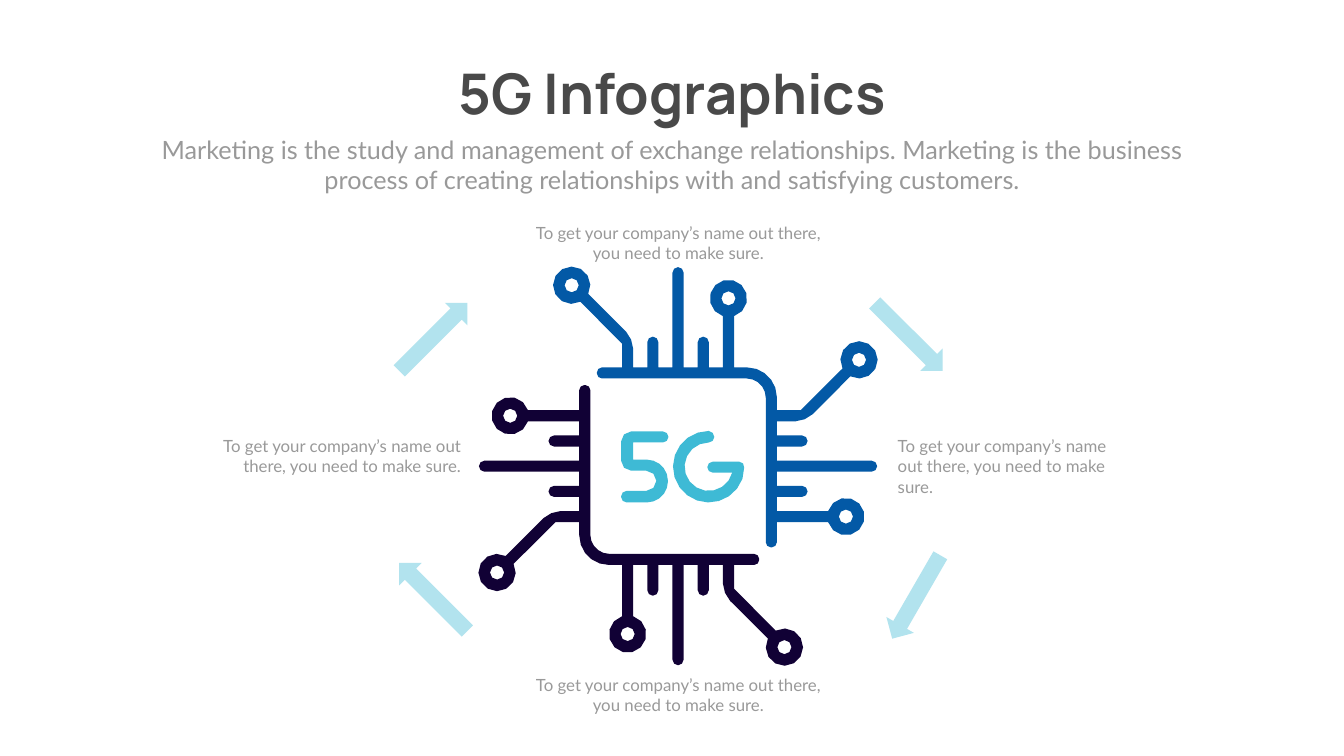
from dataclasses import dataclass
from math import asin, cos, degrees, radians, sin

from pptx import Presentation
from pptx.dml.color import RGBColor
from pptx.enum.shapes import MSO_SHAPE
from pptx.enum.text import MSO_AUTO_SIZE as Fit, PP_ALIGN as Align
from pptx.util import Pt

PX = 9144  # EMU per px, 100 px to the inch
SLIDE = (2666, 1500)


@dataclass(frozen=True)
class Theme:
    heading: str = "494949"
    muted: str = "999999"
    blue: str = "0359A6"
    navy: str = "110135"
    cyan: str = "3EBAD5"
    pale: str = "B2E3EE"
    title_font: str = "Manrope"
    body_font: str = "Lato"
    title_size: int = 80
    lead_size: int = 36
    note_size: int = 24


THEME = Theme()
TITLE_STYLE = (THEME.title_font, THEME.title_size, THEME.heading, True)
LEAD_STYLE = (THEME.body_font, THEME.lead_size, THEME.muted, False)
NOTE_STYLE = (THEME.body_font, THEME.note_size, THEME.muted, False)

TITLE = "5G Infographics"
LEAD = ("Marketing is the study and management of exchange relationships. "
        "Marketing is the business process of creating relationships with "
        "and satisfying customers.")
NOTE = "To get your company’s name out there, you need to make sure."
NOTE_BOXES = [
    ((412, 860, 512, 91), Align.RIGHT),
    ((1771, 860, 486, 91), Align.LEFT),
    ((1052, 437, 587, 91), Align.CENTER),
    ((1052, 1334, 587, 91), Align.CENTER),
]
ARROW_SIZE = (63, 191)
ARROWS = [(1771, 573, 135), (1786, 1089, 210), (828, 1089, 315), (828, 573, 45)]

CHIP_CENTER = (1345, 925)
CHIP_HALF = 196      # centre to outer edge of the frame
FRAME_INNER = 174
FRAME_END = 161      # where each half of the frame stops
PIN_HALF = 11
SHORT_PIN, LONG_PIN = 61, 199
NODE_RADIUS, HOLE_RADIUS = 37, 14
SLANTED_NODE, UPRIGHT_NODE = (-211, 163), (100, 137)


def arc(center, radius, start, end, steps):
    angles = [radians(start + (end - start) * i / steps) for i in range(steps + 1)]
    return [(center[0] + radius * cos(a), center[1] + radius * sin(a)) for a in angles]


def toward(corner, other, distance):
    length = max(((other[0] - corner[0]) ** 2 + (other[1] - corner[1]) ** 2) ** 0.5, 1)
    return tuple(c + (o - c) * distance / length for c, o in zip(corner, other))


def round_corners(outline):
    """Replace each (x, y, cut) corner by a curve starting cut px before it."""
    rounded = []
    for i, (x, y, *cut) in enumerate(outline):
        if not cut:
            rounded.append((x, y))
            continue
        corner = (x, y)
        start = toward(corner, outline[i - 1], cut[0])
        end = toward(corner, outline[(i + 1) % len(outline)], cut[0])
        steps = 2 if cut[0] <= 20 else 5
        for t in (step / steps for step in range(steps + 1)):
            u = 1 - t
            near_start = u ** 3 + 1.35 * u * u * t
            near_end = t ** 3 + 1.35 * u * t * t
            near_corner = 1 - near_start - near_end
            rounded.append(tuple(near_start * s + near_corner * c + near_end * e
                                 for s, c, e in zip(start, corner, end)))
    return rounded


def quarter_turn(outline):
    return [(-y, x, *cut) for x, y, *cut in outline]


def half_turn(outline):
    return quarter_turn(quarter_turn(outline))


def pin(middle, height):
    left, right = middle - PIN_HALF, middle + PIN_HALF
    return [(left, 0), (left, height, PIN_HALF), (right, height, PIN_HALF), (right, 0)]


def node_ring(center, stem_angle):
    gap = degrees(asin(PIN_HALF / NODE_RADIUS))
    return arc(center, NODE_RADIUS, stem_angle - gap, stem_angle + gap - 360, 11)


def top_side(points):
    """Turn (along, outward) points into points around the chip centre."""
    return [(along, -CHIP_HALF - out, *cut) for along, out, *cut in points]


def chip_half():
    """Outline and node holes of the top and right half, around the centre."""
    pins = top_side(
        [(-111, 0), (-111, 47), *node_ring(SLANTED_NODE, -45), (-89, 57, 20), (-89, 0)]
        + pin(-50, SHORT_PIN) + pin(0, LONG_PIN) + pin(50, SHORT_PIN)
        + [(89, 0), *node_ring(UPRIGHT_NODE, -90), (111, 0)])
    holes = [top_side(arc(node, HOLE_RADIUS, 0, 315, 7))
             for node in (SLANTED_NODE, UPRIGHT_NODE)]
    frame = [(-FRAME_END, -FRAME_INNER, 10), (-FRAME_END, -CHIP_HALF, 10), *pins,
             (CHIP_HALF, -CHIP_HALF, 59), *quarter_turn(pins),
             (CHIP_HALF, FRAME_END, 10), (FRAME_INNER, FRAME_END, 10),
             (FRAME_INNER, -FRAME_INNER, 38)]
    return [frame, *holes, *map(quarter_turn, holes)]


FIVE = [(1232, 997, 11), (1232, 974, 11), (1302, 974, 20), (1302, 934, 20),
        (1232, 934, 20), (1232, 856, 20), (1326, 856, 11), (1326, 878, 11),
        (1256, 878), (1256, 912), (1325, 912, 42), (1325, 997, 42)]
G_CENTER = (1406, 926)
LETTER_G = [*arc(G_CENTER, 71, -90, -340, 14), (1478, 916, 12), (1403, 916, 11),
            (1403, 938, 11), *arc(G_CENTER, 48, 14, 270, 12),
            (1417, 878, 11), (1417, 856, 11)]


def paint(shape, color):
    shape.shadow.inherit = False
    shape.fill.solid()
    shape.fill.fore_color.rgb = RGBColor.from_string(color)
    shape.line.fill.background()


def add_outline(shapes, outlines, color, origin=(0, 0)):
    builder = None
    for outline in outlines:
        points = [((x + origin[0]) * PX, (y + origin[1]) * PX)
                  for x, y in round_corners(outline)]
        if builder is None:
            builder = shapes.build_freeform(*points[0], scale=1.0)
        else:
            builder.move_to(*points[0])
        builder.add_line_segments(points[1:], close=True)
    paint(builder.convert_to_shape(), color)


def add_text(shapes, text, box, style, align=Align.CENTER, wrap=True):
    frame = shapes.add_textbox(*(n * PX for n in box)).text_frame
    frame.word_wrap = wrap
    frame.auto_size = Fit.SHAPE_TO_FIT_TEXT
    paragraph = frame.paragraphs[0]
    paragraph.alignment = align
    run = paragraph.add_run()
    run.text = text
    name, size, color, bold = style
    for key, value in {"name": name, "size": Pt(size), "bold": bold}.items():
        setattr(run.font, key, value)
    run.font.color.rgb = RGBColor.from_string(color)


def main():
    deck = Presentation()
    deck.slide_width, deck.slide_height = (n * PX for n in SLIDE)
    shapes = deck.slides.add_slide(deck.slide_layouts[6]).shapes

    add_text(shapes, TITLE, (864, 112, 939, 145), TITLE_STYLE, wrap=False)
    add_text(shapes, LEAD, (292, 261, 2082, 131), LEAD_STYLE)

    half = chip_half()
    add_outline(shapes, half, THEME.blue, CHIP_CENTER)
    add_outline(shapes, [half_turn(part) for part in half], THEME.navy, CHIP_CENTER)
    for glyph in (FIVE, LETTER_G):
        add_outline(shapes, [glyph], THEME.cyan)

    for box, align in NOTE_BOXES:
        add_text(shapes, NOTE, box, NOTE_STYLE, align)
    for left, top, angle in ARROWS:
        arrow = shapes.add_shape(MSO_SHAPE.UP_ARROW,
                                 *(n * PX for n in (left, top, *ARROW_SIZE)))
        arrow.rotation = angle
        paint(arrow, THEME.pale)

    deck.save("out.pptx")


if __name__ == "__main__":
    main()
